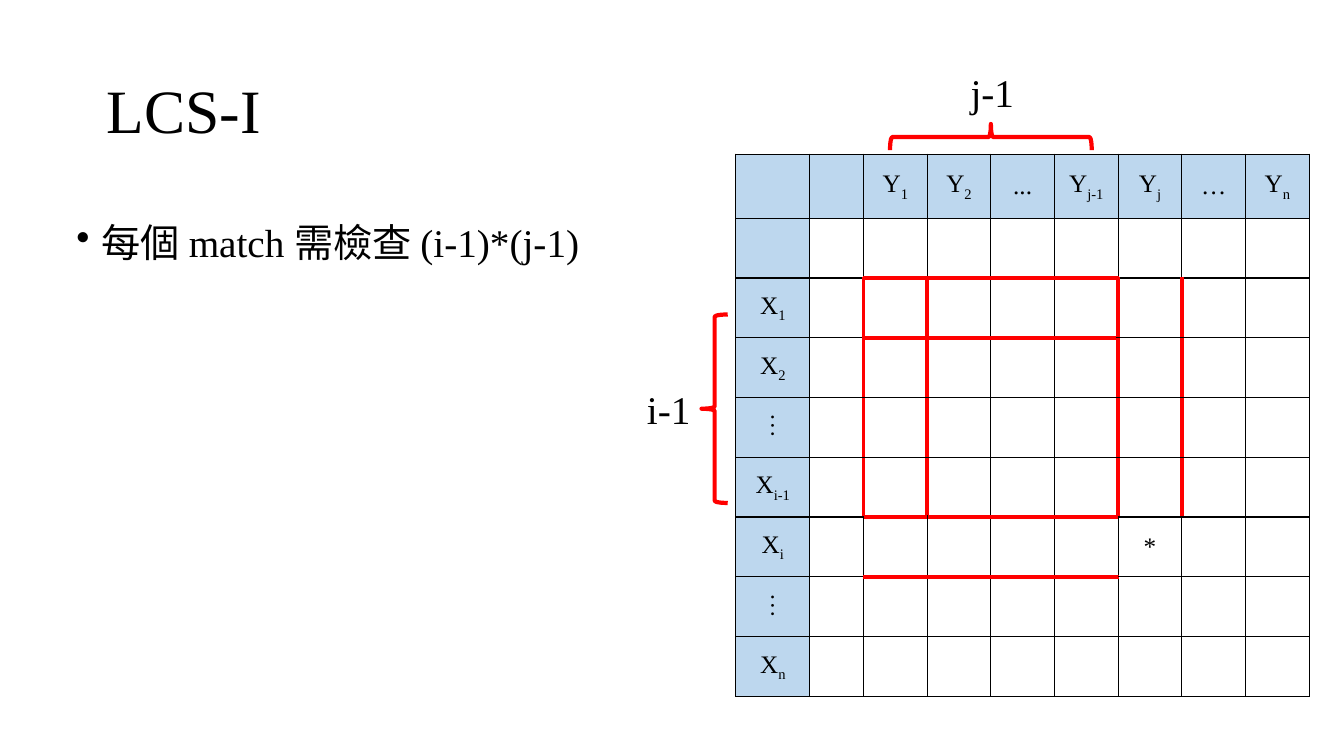
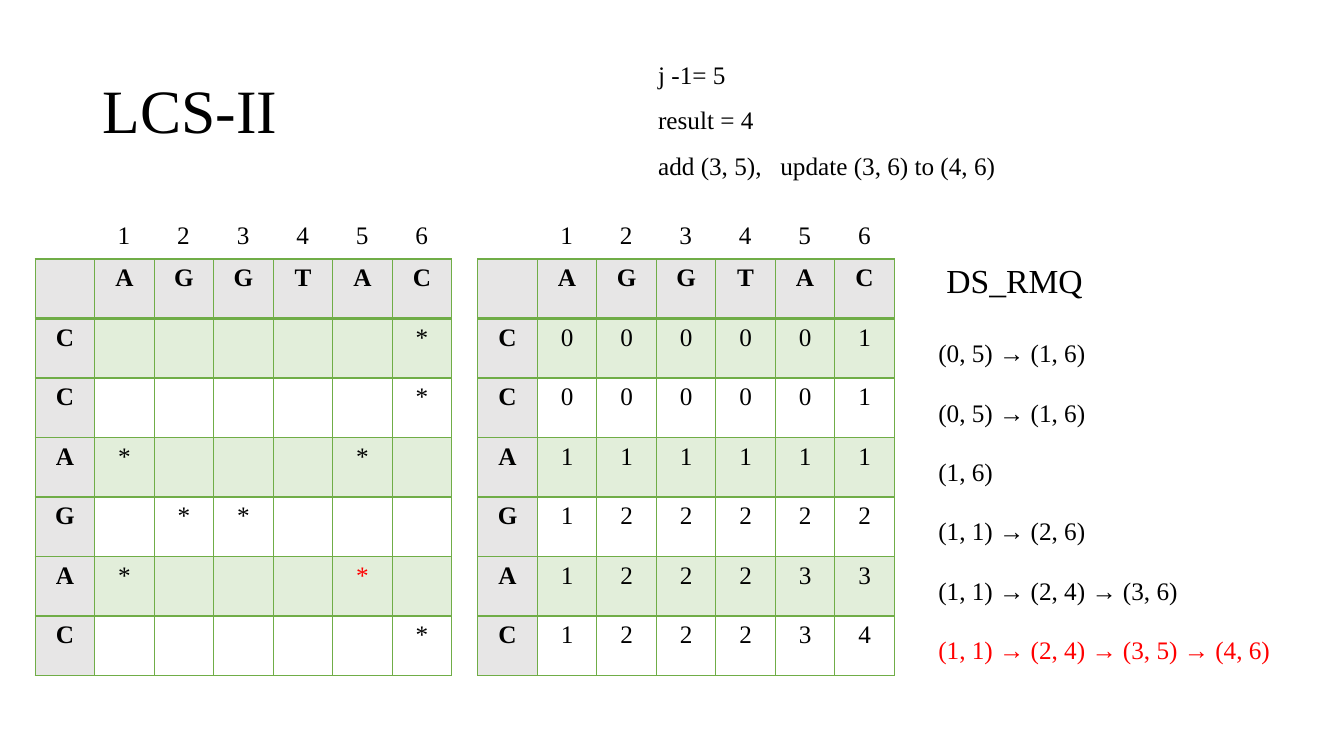
from dataclasses import dataclass

from lxml.etree import SubElement
from pptx import Presentation
from pptx.dml.color import RGBColor
from pptx.enum.shapes import MSO_SHAPE as Preset
from pptx.enum.text import MSO_ANCHOR as Anchor, PP_ALIGN as Align
from pptx.oxml.ns import qn
from pptx.util import Inches, Pt


@dataclass(frozen=True)
class Theme:
    font: str = "Times New Roman"
    ink: str = "000000"
    accent: str = "FF0000"
    blue: str = "BDD7EE"
    green: str = "70AD47"
    grey: str = "E7E6E6"
    title_size: int = 44
    body_size: int = 28
    heading_size: int = 24
    small_size: int = 18
    thin: int = 1
    medium: int = 2
    thick: int = 3
    band_opacity: int = 20


@dataclass
class CellStyle:
    """The look of one table cell; borders are (colour, width) by side L, R, T, B."""
    borders: dict
    fill: str | None = None
    opacity: int = 100
    colour: str = Theme.ink
    bold: bool = False
    anchor: Anchor = Anchor.TOP


class Deck:
    """Holds the theme and the current slide; lengths are percent of the slide."""

    def __init__(self, theme):
        self.theme = theme
        self.presentation = Presentation()
        self.presentation.slide_width = Inches(13.33)
        self.presentation.slide_height = Inches(7.5)
        self.slide = None

    def x(self, share):
        return round(self.presentation.slide_width * share / 100)

    def y(self, share):
        return round(self.presentation.slide_height * share / 100)

    def place(self, left, top, width, height):
        return self.x(left), self.y(top), self.x(width), self.y(height)

    def new_slide(self, title, left):
        blank = self.presentation.slide_layouts[6]
        self.slide = self.presentation.slides.add_slide(blank)
        self.text((left, 5.33, 86.25, 19.33), [title], self.theme.title_size,
                  anchor=Anchor.MIDDLE, line_spacing=0.9)

    def style_font(self, paragraph, size, colour, bold=False):
        font = paragraph.font
        font.name, font.size, font.bold = self.theme.font, Pt(size), bold
        font.color.rgb = RGBColor.from_string(colour)

    def text(self, box, lines, size, anchor=Anchor.TOP, line_spacing=None,
             space_before=0, bullet=False, tabs=(), wrap=True, last_colour=None):
        frame = self.slide.shapes.add_textbox(*self.place(*box)).text_frame
        frame.word_wrap, frame.vertical_anchor = wrap, anchor
        for index, line in enumerate(lines):
            paragraph = frame.add_paragraph() if index else frame.paragraphs[0]
            paragraph.add_run().text = line
            properties = paragraph._p.get_or_add_pPr()
            if bullet:
                properties.set("marL", str(Inches(0.25)))
                properties.set("indent", str(-Inches(0.25)))
                SubElement(properties, qn("a:buChar"), char="•")
            if tabs:
                stops = SubElement(properties, qn("a:tabLst"))
                for stop in tabs:
                    SubElement(stops, qn("a:tab"), pos=str(self.x(stop)), algn="l")
            if line_spacing:
                paragraph.line_spacing = line_spacing
            if index and space_before:
                paragraph.space_before = Pt(space_before)
            is_last = index == len(lines) - 1
            self.style_font(paragraph, size,
                            last_colour if is_last and last_colour else self.theme.ink)

    def brace(self, box, rotation=0):
        shape = self.slide.shapes.add_shape(Preset.LEFT_BRACE, *self.place(*box))
        shape.rotation = rotation
        shape.shadow.inherit = False
        shape.fill.background()
        shape.line.color.rgb = RGBColor.from_string(self.theme.accent)
        shape.line.width = Pt(self.theme.thick)

    def table(self, left, top, columns, rows, texts, style_of):
        """Draw a grid; style_of(row, column) gives each cell's CellStyle."""
        box = self.place(left, top, sum(columns), sum(rows))
        table = self.slide.shapes.add_table(len(rows), len(columns), *box).table
        table.first_row = table.horz_banding = False
        for column, width in zip(table.columns, columns):
            column.width = self.x(width)
        for row, height in zip(table.rows, rows):
            row.height = self.y(height)
        for row in range(len(rows)):
            for column in range(len(columns)):
                self.fill_cell(table.cell(row, column), texts[row][column],
                               style_of(row, column))

    def fill_cell(self, cell, text, style):
        """Write text, with the part after "_" as a subscript, and style the cell."""
        properties = cell._tc.get_or_add_tcPr()
        for side in "LRTB":
            colour, width = style.borders[side]
            line = SubElement(properties, qn(f"a:ln{side}"), w=str(Pt(width)))
            SubElement(SubElement(line, qn("a:solidFill")), qn("a:srgbClr"), val=colour)
        if style.fill:
            cell.fill.solid()
            cell.fill.fore_color.rgb = RGBColor.from_string(style.fill)
            if style.opacity < 100:
                colour = properties.find(qn("a:solidFill")).find(qn("a:srgbClr"))
                SubElement(colour, qn("a:alpha"), val=str(style.opacity * 1000))
        else:
            cell.fill.background()
        cell.vertical_anchor = style.anchor
        paragraph = cell.text_frame.paragraphs[0]
        paragraph.alignment = Align.CENTER
        base, _, subscript = text.partition("_")
        if base:
            paragraph.add_run().text = base
        if subscript:
            run = paragraph.add_run()
            run.text = subscript
            run._r.get_or_add_rPr().set("baseline", "-25000")
        self.style_font(paragraph, self.theme.small_size, style.colour, style.bold)


def build_match_cost(deck):
    theme = deck.theme
    deck.new_slide("LCS-I", 7.2)
    deck.text((4.95, 28.93, 86.25, 63.47), ["每個 match 需檢查 (i-1)*(j-1)"],
              theme.body_size, line_spacing=0.9, bullet=True)

    header = ["", "", "Y_1", "Y_2", "...", "Y_j-1", "Y_j", "…", "Y_n"]
    side = ["", "X_1", "X_2", "⋮", "X_i-1", "X_i", "⋮", "X_n"]
    texts = [header] + [[label] + [""] * 8 for label in side]
    texts[6][6] = "*"
    inside = range(2, 6)
    red_lines = {2, 3, 6, 7}

    def style_of(row, column):
        def border(line, across):
            if line in red_lines and across in inside:
                return theme.accent, theme.thick
            return theme.ink, theme.thin

        borders = {"L": border(column, row), "R": border(column + 1, row),
                   "T": border(row, column), "B": border(row + 1, column)}
        fill = theme.blue if row == 0 or column == 0 else None
        return CellStyle(borders, fill, anchor=Anchor.MIDDLE)

    deck.table(54.75, 20.4, [5.5, 4] + [4.74] * 7, [8.47] + [7.91] * 8, texts, style_of)
    deck.brace((72.75, 4.8, 1.95, 26.67), rotation=90)
    deck.brace((52.2, 41.6, 1.95, 24.93))
    deck.text((47.4, 50.27, 4.8, 7.6), ["i-1"], theme.body_size, wrap=False)
    deck.text((71.48, 8.4, 10.35, 7.6), ["j-1"], theme.body_size)


def build_worked_example(deck):
    theme = deck.theme
    deck.new_slide("LCS-II", 6.9)
    chains = ["(0, 5) → (1, 6)", "(0, 5) → (1, 6)", "(1, 6)", "(1, 1) → (2, 6)",
              "(1, 1) → (2, 4) → (3, 6)", "(1, 1) → (2, 4) → (3, 5) → (4, 6)"]
    deck.text((69.08, 42, 30.5, 55.47), chains, theme.small_size,
              line_spacing=1.5, space_before=10, last_colour=theme.accent)

    across, down = "AGGTAC", "CCAGAC"
    matches = ["     *", "     *", "*   * ", " **   ", "*   * ", "     *"]
    lengths = ["000001", "000001", "111111", "122222", "122233", "122234"]
    cell_width, cell_height = 4.43, 7.87

    def style_of(row, column, red_cell):
        borders = dict.fromkeys("LRTB", (theme.green, theme.thin))
        if row < 2:
            borders["T" if row else "B"] = (theme.green, theme.medium)
        if row == 0 or column == 0:
            return CellStyle(borders, theme.grey, bold=True)
        colour = theme.accent if (row, column) == red_cell else theme.ink
        fill = theme.green if row % 2 else None
        return CellStyle(borders, fill, theme.band_opacity, colour)

    for left, values, red_cell in ((2.62, matches, (5, 5)), (35.55, lengths, None)):
        texts = [["", *across]]
        texts += [[label, *(value.strip() for value in row)]
                  for label, row in zip(down, values)]
        deck.table(left, 34.27, [cell_width] * 7, [cell_height] * 7, texts,
                   lambda row, column: style_of(row, column, red_cell))
        deck.text((left + 5.4, 28.4, 25.05, 5.33), ["\t".join("123456")],
                  theme.small_size, tabs=[cell_width * n for n in range(1, 6)])

    notes = ["j -1= 5", "result = 4", "add (3, 5),\tupdate (3, 6) to (4, 6)"]
    deck.text((48.23, 5.2, 36.6, 18.8), notes, theme.small_size,
              line_spacing=1.5, tabs=[9.1])
    deck.text((69.68, 33.73, 14.7, 6.67), ["DS_RMQ"], theme.heading_size)


def main():
    deck = Deck(Theme())
    build_match_cost(deck)
    build_worked_example(deck)
    deck.presentation.save("out.pptx")


if __name__ == "__main__":
    main()
